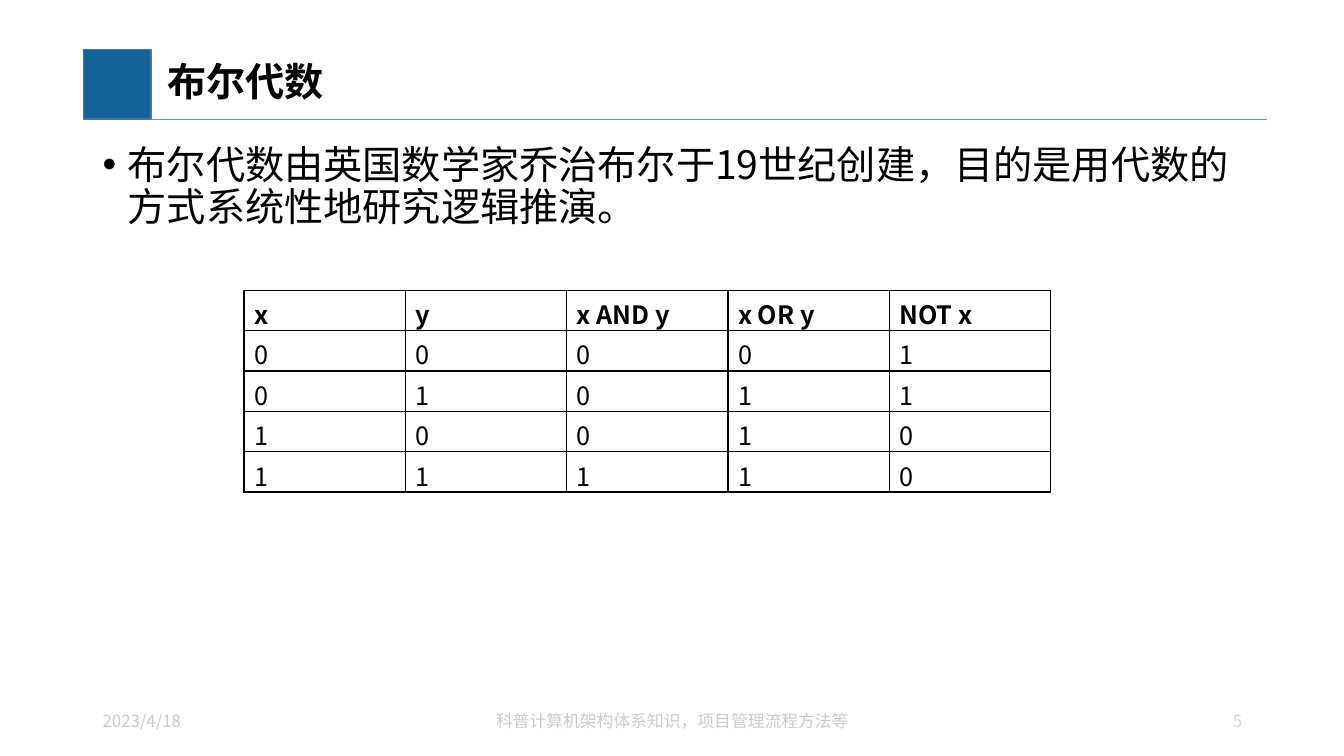
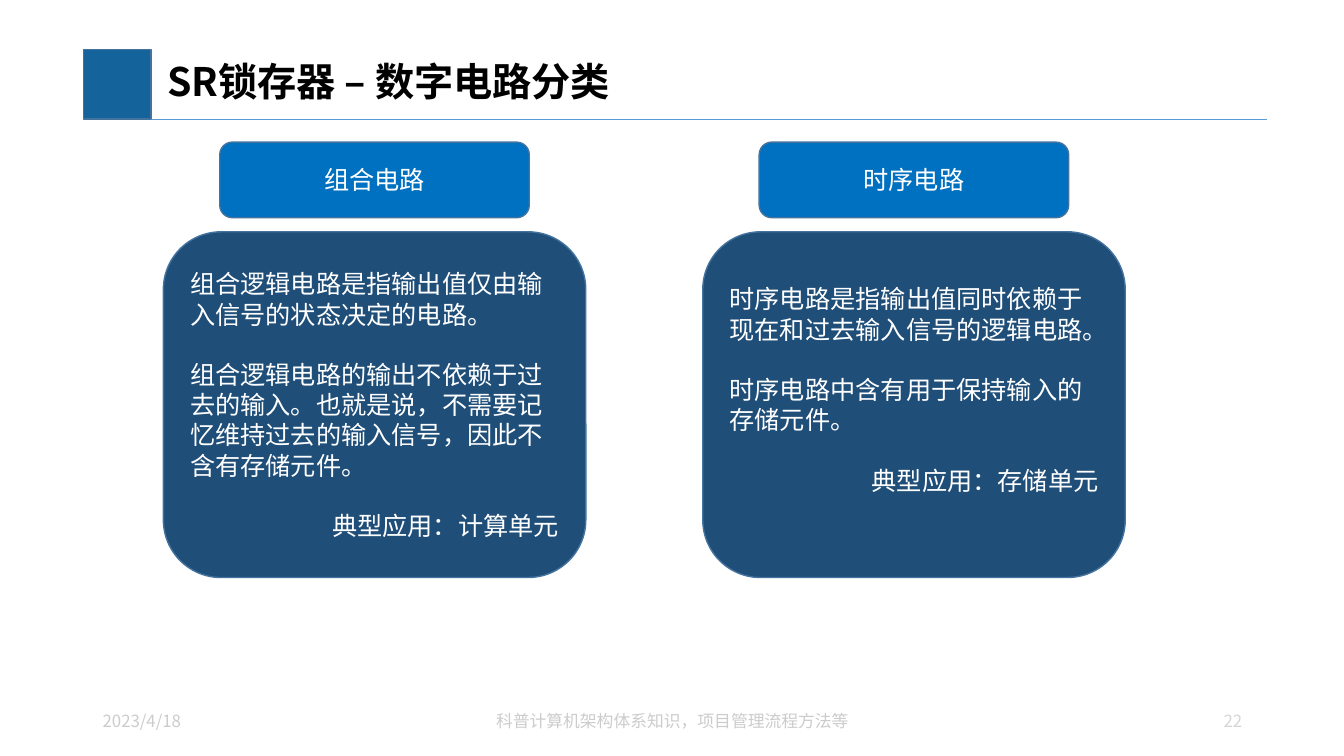
from lxml.etree import SubElement
from pptx import Presentation
from pptx.dml.color import RGBColor
from pptx.enum.shapes import MSO_CONNECTOR as Connector, MSO_SHAPE as Preset
from pptx.enum.text import MSO_ANCHOR as Anchor, PP_ALIGN as Align
from pptx.oxml.ns import qn
from pptx.util import Inches, Pt

FONT = "Noto Sans CJK SC"
BLACK, WHITE = "000000", "FFFFFF"
BAND, EDGE, RULE = "15639B", "43739E", "5B9BD5"
FOOTER, PAGE_NUMBER = "CCCCCC", "D6D6D6"
HEADING, PANEL = "0070C0", "1F4E79"
PANEL_LINE = Pt(21.6)

TRUTH_TABLE = [
    ["x", "y", "x AND y", "x OR y", "NOT x"],
    ["0", "0", "0", "0", "1"],
    ["0", "1", "0", "1", "1"],
    ["1", "0", "0", "1", "0"],
    ["1", "1", "1", "1", "0"],
]
CIRCUITS = [
    ("组合电路", 0.05, [
        "组合逻辑电路是指输出值仅由输入信号的状态决定的电路。",
        "组合逻辑电路的输出不依赖于过去的输入。也就是说，不需要记忆维持过去的输入信号，因此不含有存储元件。",
        "典型应用：计算单元",
    ]),
    ("时序电路", 0.35, [
        "时序电路是指输出值同时依赖于现在和过去输入信号的逻辑电路。",
        "时序电路中含有用于保持输入的存储元件。",
        "典型应用：存储单元",
    ]),
]


def color(value):
    """Turn a hex string into a colour."""
    return RGBColor.from_string(value)


def write(paragraph, text, size=18, ink=BLACK, bold=False, align=Align.LEFT,
          spacing=None, before=0, bullet=None):
    """Put formatted text into a paragraph."""
    paragraph.alignment = align
    paragraph.space_before = before
    if spacing:
        paragraph.line_spacing = spacing
    if bullet:
        properties = paragraph._p.get_or_add_pPr()
        properties.set("marL", str(Inches(0.25)))
        properties.set("indent", str(Inches(-0.25)))
        SubElement(properties, qn("a:buFont"), typeface="Arial")
        SubElement(properties, qn("a:buChar"), char=bullet)
    run = paragraph.add_run()
    run.text = text
    run.font.size = Pt(size)
    run.font.bold = bold
    run.font.color.rgb = color(ink)
    run.font.name = FONT
    SubElement(run._r.get_or_add_rPr(), qn("a:ea"), typeface=FONT)


def add_text(slide, box, text, anchor=Anchor.MIDDLE, inset=0.1, **style):
    """Add a wrapping text box."""
    frame = slide.shapes.add_textbox(*map(Inches, box)).text_frame
    frame.word_wrap = True
    frame.vertical_anchor = anchor
    frame.margin_left = Inches(inset)
    write(frame.paragraphs[0], text, **style)


def add_block(slide, preset, box, fill):
    """Add a filled, outlined shape and return it."""
    shape = slide.shapes.add_shape(preset, *map(Inches, box))
    shape.shadow.inherit = False
    shape.fill.solid()
    shape.fill.fore_color.rgb = color(fill)
    shape.line.color.rgb = color(EDGE)
    shape.line.width = Pt(1)
    return shape


def add_rule(slide, left, right, top):
    """Add the thin line below the title."""
    rule = slide.shapes.add_connector(
        Connector.STRAIGHT, Inches(left), Inches(top), Inches(right), Inches(top))
    rule.line.color.rgb = color(RULE)
    rule.line.width = Pt(0.5)
    SubElement(rule._element.spPr, qn("a:effectLst"))


def add_page(presentation, title, number):
    """Add a slide with its title band and footer."""
    slide = presentation.slides.add_slide(presentation.slide_layouts[6])
    add_block(slide, Preset.RECTANGLE, (0.83, 0.49, 0.67, 0.69), BAND)
    add_rule(slide, 1.5, 12.57, 1.18)
    add_text(slide, (1.5, 0.49, 11.07, 0.69), title, inset=0.16,
             size=28, bold=True, spacing=0.9)
    add_text(slide, (0.92, 6.95, 3, 0.4), "2023/4/18", size=12, ink=FOOTER)
    add_text(slide, (4.42, 6.95, 4.5, 0.4), "科普计算机架构体系知识，项目管理流程方法等",
             size=12, ink=FOOTER, align=Align.CENTER)
    add_text(slide, (9.66, 6.94, 2.76, 0.42), str(number),
             size=12, ink=PAGE_NUMBER, align=Align.RIGHT)
    return slide


def add_borders(cell):
    """Draw a thin black line on all sides of a cell."""
    properties = cell._tc.get_or_add_tcPr()
    for side in ("lnL", "lnR", "lnT", "lnB"):
        line = SubElement(properties, qn(f"a:{side}"), w=str(Pt(1)))
        fill = SubElement(line, qn("a:solidFill"))
        SubElement(fill, qn("a:srgbClr"), val=BLACK)


def add_grid(slide, left, top, rows, column_width, row_height):
    """Add a ruled table whose first row is bold."""
    columns = len(rows[0])
    table = slide.shapes.add_table(
        len(rows), columns, Inches(left), Inches(top),
        Inches(column_width * columns), Inches(row_height * len(rows))).table
    table.first_row = table.horz_banding = False
    for row_index, row in enumerate(rows):
        for column_index, text in enumerate(row):
            cell = table.cell(row_index, column_index)
            add_borders(cell)
            cell.fill.solid()
            cell.fill.fore_color.rgb = color(WHITE)
            cell.vertical_anchor = Anchor.MIDDLE
            write(cell.text_frame.paragraphs[0], text, bold=row_index == 0)


def add_circuit(slide, left, heading, bottom_inset, texts):
    """Add a heading above a panel that ends with a typical use."""
    panel = add_block(slide, Preset.ROUNDED_RECTANGLE, (left, 2.3, 4.19, 3.43), PANEL)
    frame = panel.text_frame
    frame.margin_bottom = Inches(bottom_inset)
    for index, text in enumerate(texts):
        paragraph = frame.add_paragraph() if index else frame.paragraphs[0]
        write(paragraph, text, ink=WHITE, spacing=PANEL_LINE,
              before=PANEL_LINE if index else 0,
              align=Align.RIGHT if text == texts[-1] else Align.LEFT)
    label = add_block(slide, Preset.ROUNDED_RECTANGLE,
                      (left + 0.56, 1.41, 3.07, 0.75), HEADING)
    write(label.text_frame.paragraphs[0], heading, ink=WHITE, align=Align.CENTER)


def main():
    """Build both slides and save them."""
    presentation = Presentation()
    presentation.slide_width = Inches(13.33)
    presentation.slide_height = Inches(7.5)

    algebra = add_page(presentation, "布尔代数", 5)
    add_text(algebra, (0.92, 1.39, 11.5, 1.14),
             "布尔代数由英国数学家乔治布尔于19世纪创建，目的是用代数的方式系统性地研究逻辑推演。",
             anchor=Anchor.TOP, size=28, spacing=Pt(30), before=Pt(10), bullet="•")
    add_grid(algebra, 2.42, 2.88, TRUTH_TABLE, 1.6, 0.39)

    latch = add_page(presentation, "SR锁存器 – 数字电路分类", 22)
    for index, circuit in enumerate(CIRCUITS):
        add_circuit(latch, 1.62 + 5.35 * index, *circuit)

    presentation.save("out.pptx")


main()
